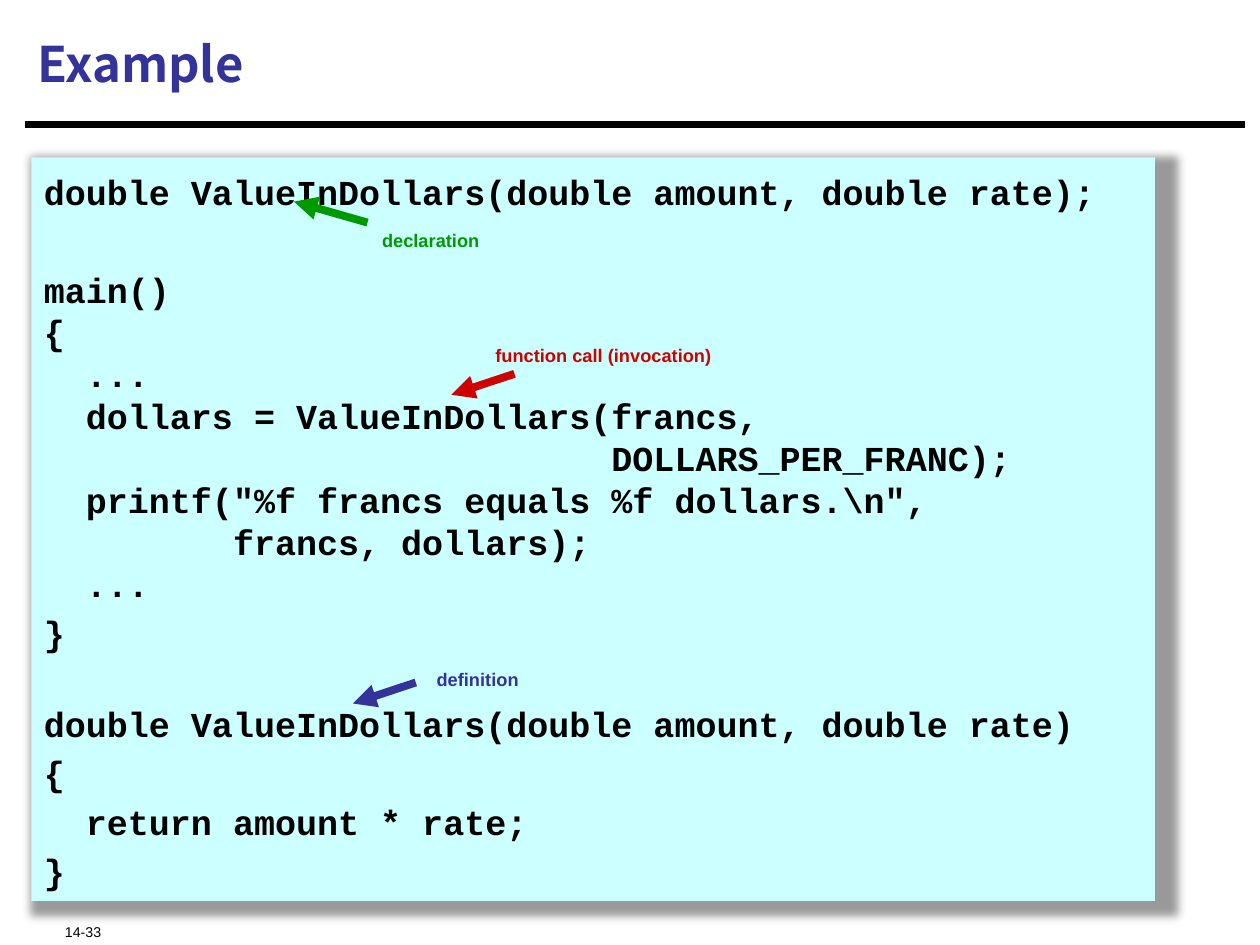
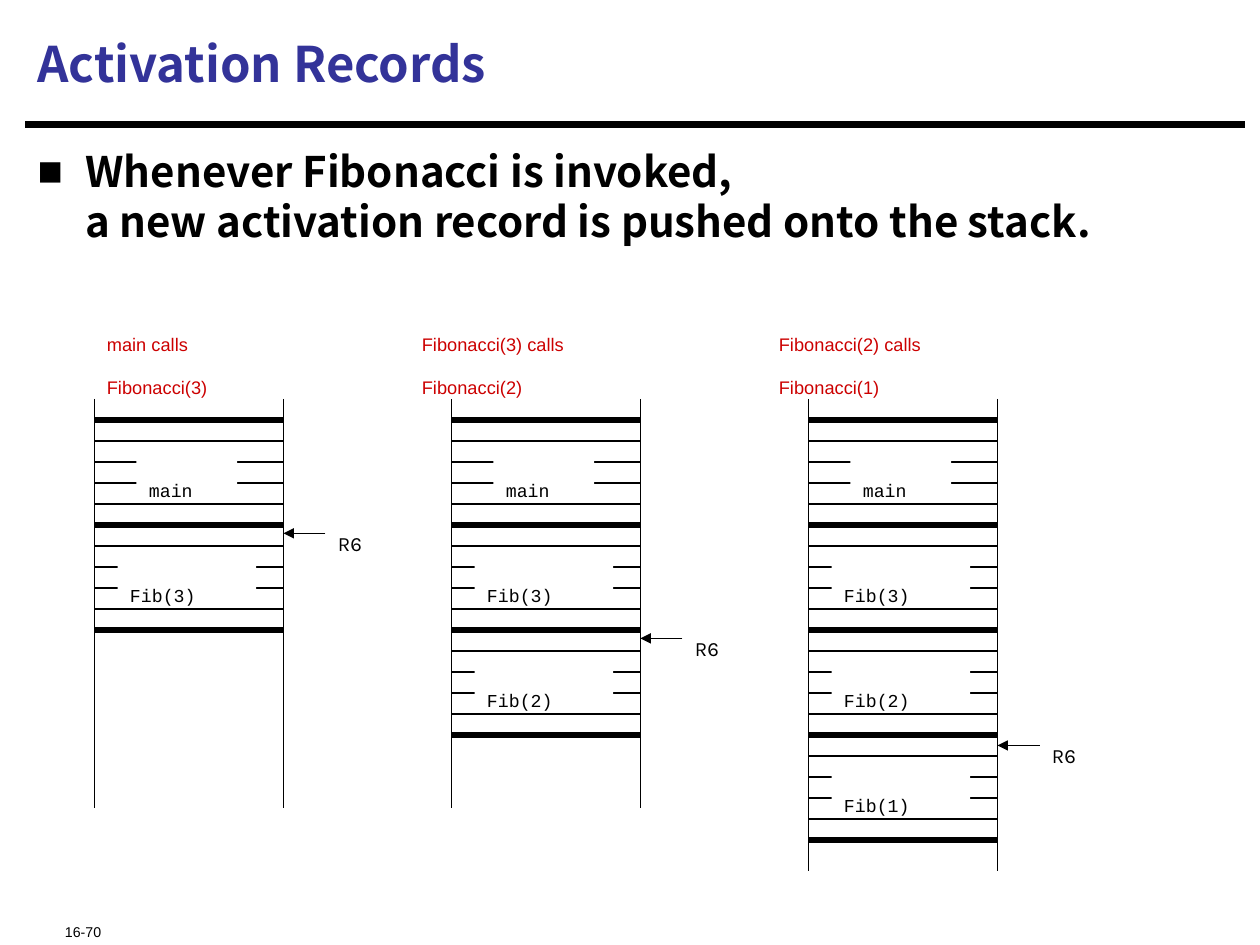
from lxml import etree
from pptx import Presentation
from pptx.dml.color import RGBColor
from pptx.enum import shapes, text
from pptx.oxml import parse_xml
from pptx.oxml.ns import qn
from pptx.util import Inches, Pt

COLORS = {
    "ink": "000000",
    "paper": "FFFFFF",
    "title": "333399",
    "code_fill": "CCFFFF",
    "declaration": "009900",
    "call": "CE0000",
    "heading": "CC0000",
}
SANS, MONO, HEAD, REGISTER = "Arial", "Courier New", "Noto Sans CJK SC", "Karla"
COLUMNS, ROWS = 60, 45  # grid of sixths of an inch
DRAWING = 'xmlns:a="http://schemas.openxmlformats.org/drawingml/2006/main"'
SHADOW = (f'<a:effectLst {DRAWING}><a:outerShdw blurRad="63500" sx="102000" sy="102000" '
          'algn="tl" rotWithShape="0"><a:srgbClr val="000000"><a:alpha val="40000"/>'
          '</a:srgbClr></a:outerShdw></a:effectLst>')


def rgb(name):
    return RGBColor.from_string(COLORS[name])


def write(shape, paragraphs, size=18, font=SANS, color="ink", bold=False, lowered=False,
          middle=False, gaps=(), leading=None, top=0.05, bullet=None):
    """Fill a shape with paragraphs; gaps are the points before each one."""
    frame = shape.text_frame
    frame.word_wrap = True
    frame.margin_top = Inches(top)
    frame.vertical_anchor = text.MSO_ANCHOR.MIDDLE if middle else text.MSO_ANCHOR.TOP
    for i, words in enumerate(paragraphs):
        paragraph = frame.add_paragraph() if i else frame.paragraphs[0]
        paragraph.text = words
        paragraph.alignment = text.PP_ALIGN.LEFT
        if leading:
            paragraph.line_spacing = Pt(leading)
        if i and gaps:
            paragraph.space_before = Pt(gaps[i])
        if bullet:
            props = paragraph._p.get_or_add_pPr()
            props.set("marL", str(Inches(0.38)))
            props.set("indent", str(-Inches(0.38)))
            etree.SubElement(props, qn("a:buFont"), typeface=SANS)
            etree.SubElement(props, qn("a:buChar"), char=bullet)
        for run in paragraph.runs:
            run.font.size, run.font.name, run.font.bold = Pt(size), font, bold
            run.font.color.rgb = rgb(color)
            props = run._r.get_or_add_rPr()
            if lowered:
                props.set("baseline", "-25000")
            if font == REGISTER:  # fixed-pitch fallback
                props.find(qn("a:latin")).set("pitchFamily", "49")


class Deck:
    def __init__(self):
        self.prs = Presentation()
        self.prs.slide_width, self.prs.slide_height = Inches(10), Inches(7.5)
        self.slide = None

    def x(self, columns):
        return round(self.prs.slide_width * columns / COLUMNS)

    def y(self, rows):
        return round(self.prs.slide_height * rows / ROWS)

    def area(self, left, top, width, height):
        return self.x(left), self.y(top), self.x(width), self.y(height)

    def new_slide(self, title, number):
        self.slide = self.prs.slides.add_slide(self.prs.slide_layouts[6])
        self.line((1.2, 5.94), (59.28, 5.94), 3.75)
        self.label((2.5, 42.9, 15, 1.6), [number], size=14, lowered=True)
        self.label((1.2, 0.5, 58, 5), [title], size=28, font=HEAD, color="title",
                   bold=True, middle=True)

    def label(self, area, paragraphs, **style):
        write(self.slide.shapes.add_textbox(*self.area(*area)), paragraphs, **style)

    def panel(self, area, paragraphs, fill, shadow=False, **style):
        panel = self.slide.shapes.add_shape(shapes.MSO_SHAPE.RECTANGLE, *self.area(*area))
        panel.shadow.inherit = False
        panel.fill.solid()
        panel.fill.fore_color.rgb = rgb(fill)
        panel.line.fill.background()
        if shadow:
            props = panel._element.spPr
            props.replace(props.find(qn("a:effectLst")), parse_xml(SHADOW))
        write(panel, paragraphs, **style)

    def line(self, start, end, width=0.75, color="ink", arrow=False):
        line = self.slide.shapes.add_connector(
            shapes.MSO_CONNECTOR.STRAIGHT,
            self.x(start[0]), self.y(start[1]), self.x(end[0]), self.y(end[1]))
        line.line.width = Pt(width)
        line.line.color.rgb = rgb(color)
        if arrow:
            etree.SubElement(line.line._get_or_add_ln(), qn("a:tailEnd"), type="triangle")
        etree.SubElement(line._element.spPr, qn("a:effectLst"))

    def stack(self, left, bottom, calls, register_row):
        """Draw a run-time stack: five rows per call, R6 at the newest one."""
        right, first = left + 9, 20
        for side in (left, right):
            self.line((side, 19), (side, bottom))
        self.line((left, first), (right, first), 3)
        for i, call in enumerate(calls):
            base = first + 5 * i
            for row in range(1, 6):
                self.line((left, base + row), (right, base + row), 3 if row == 5 else 0.75)
            inset, width = (2, 4.8) if call == "main" else (1.1, 6.6)
            self.panel((left + inset, base + 1.5, width, 2.4), [call], "paper",
                       font=MONO, lowered=True)
        self.label((right + 2, register_row - 1.5, 3.4, 2.6), ["R6"], size=20,
                   font=REGISTER, lowered=True)
        self.line((right + 2, register_row), (right, register_row), arrow=True)


CODE = [
    "double ValueInDollars(double amount, double rate);",
    """main()
{
  ...
  dollars = ValueInDollars(francs,
                           DOLLARS_PER_FRANC);
  printf("%f francs equals %f dollars.\\n",
         francs, dollars);
  ...""",
    "}",
    "double ValueInDollars(double amount, double rate)",
    "{",
    "  return amount * rate;",
    "}",
]

# words, color, label area, arrow start, arrow end
CODE_PARTS = [
    ("declaration", "declaration", (17.6, 9.6, 9.3, 2.4), (17.5, 10.6), (14, 9.6)),
    ("function call (invocation)", "call", (23, 15.1, 19.1, 2.4), (24.5, 17.8), (21.5, 18.8)),
    ("definition", "title", (20.2, 30.5, 8, 2.4), (19.8, 32.5), (16.8, 33.5)),
]

# heading, heading left, heading width, stack bottom, calls, row of R6
STACKS = [
    ("main calls\nFibonacci(3)", 4.5, 9.5, 38.5, ["main", "Fib(3)"], 25.4),
    ("Fibonacci(3) calls\nFibonacci(2)", 19.5, 13.3, 38.5, ["main", "Fib(3)", "Fib(2)"], 30.4),
    ("Fibonacci(2) calls\nFibonacci(1)", 36.5, 13.3, 41.5,
     ["main", "Fib(3)", "Fib(2)", "Fib(1)"], 35.5),
]


def example(deck):
    deck.new_slide("Example", "14-33")
    deck.panel((1.5, 7.5, 53.5, 35.4), CODE, "code_fill", shadow=True, size=20, font=MONO,
               bold=True, leading=24, gaps=(0, 32, 4, 28, 4, 4, 4), top=0.1)
    for words, color, area, start, end in CODE_PARTS:
        deck.label(area, [words], color=color, bold=True, lowered=True)
        deck.line(start, end, 4.5, color, arrow=True)


def activation_records(deck):
    deck.new_slide("Activation Records", "16-70")
    deck.label((1.2, 6.4, 58, 6), ["Whenever Fibonacci is invoked,\n"
               "a new activation record is pushed onto the stack."],
               size=24, font=HEAD, bold=True, leading=28.6, top=0.09, bullet="■")
    for i, (heading, left, width, bottom, calls, register_row) in enumerate(STACKS):
        deck.stack(4.5 + 17 * i, bottom, calls, register_row)
        deck.label((left, 14.8, width, 4.2), [heading], color="heading", lowered=True,
                   middle=True)


def main():
    deck = Deck()
    example(deck)
    activation_records(deck)
    deck.prs.save("out.pptx")


if __name__ == "__main__":
    main()
